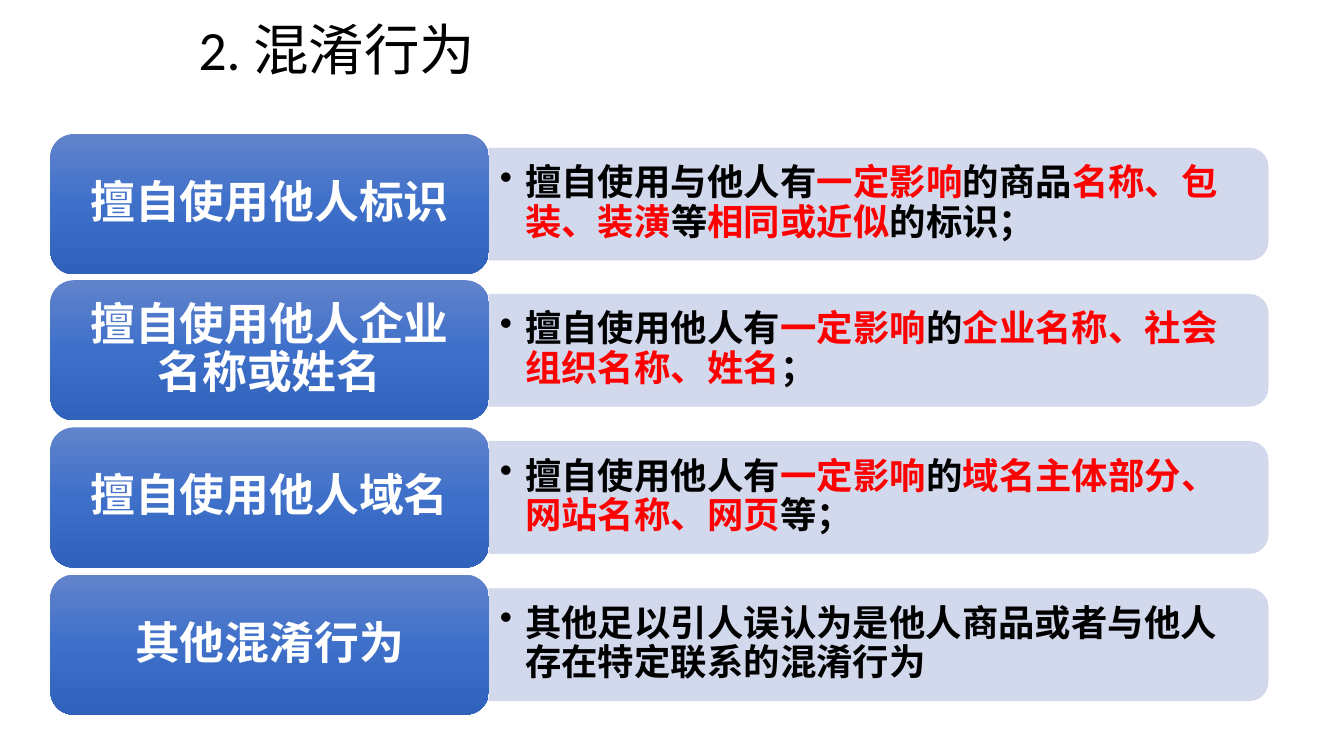
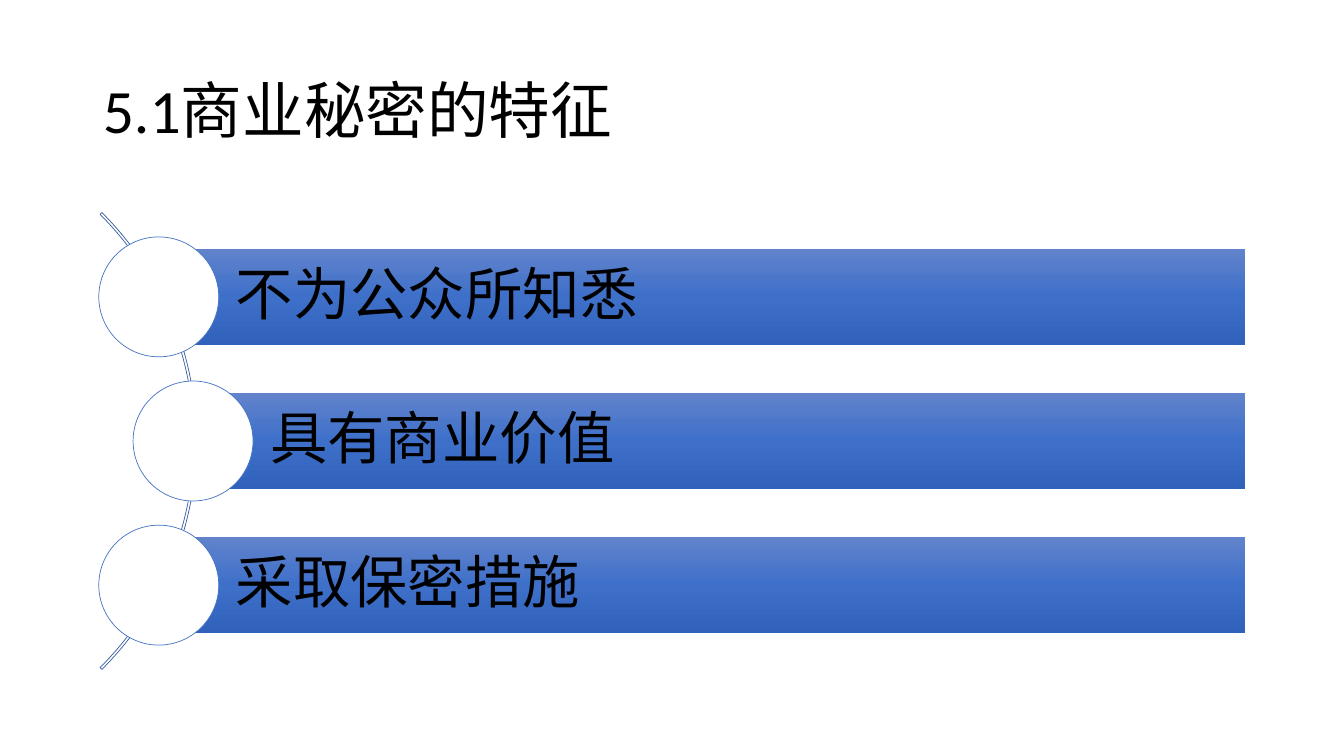
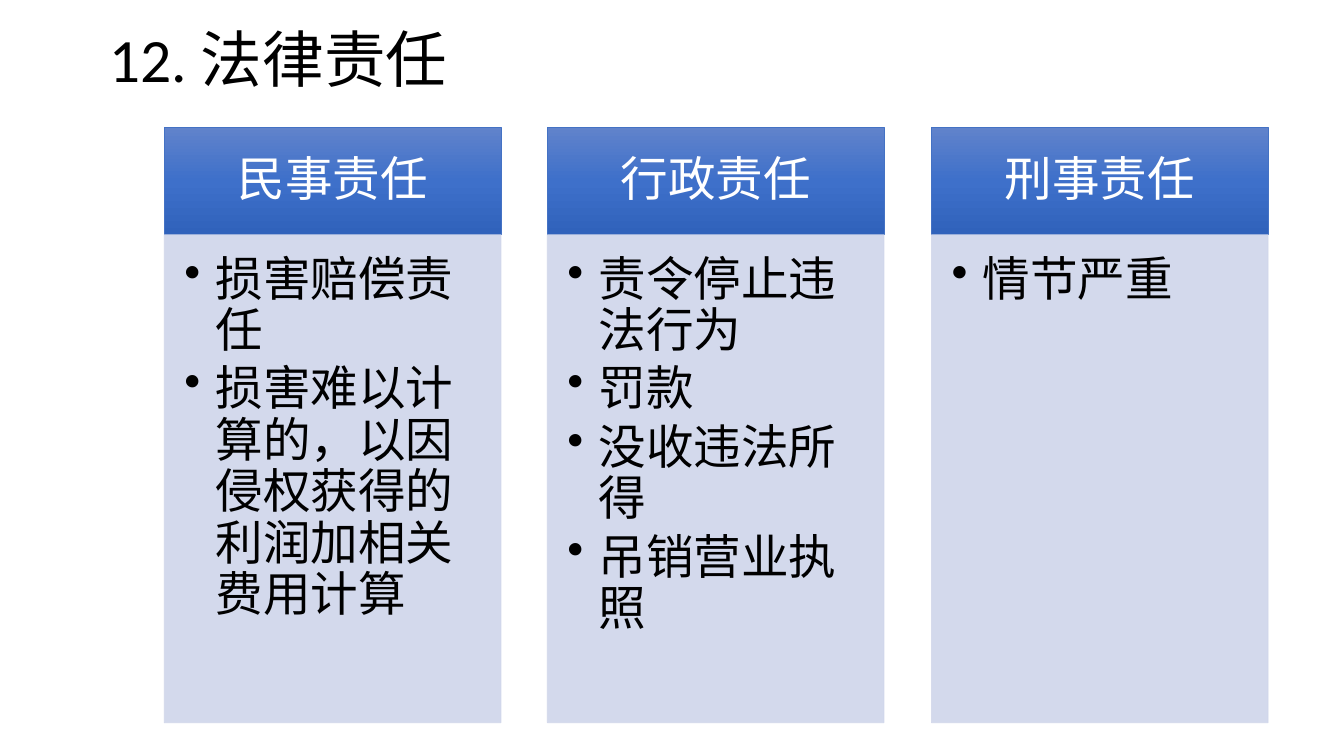
from copy import deepcopy

from pptx import Presentation
from pptx import util as u
from pptx.dml.color import RGBColor
from pptx.enum import lang, shapes, text
from pptx.oxml import ns, xmlchemy

PX = 9144
FONT = "Calibri"
COLORS = {
    "ink": "000000",
    "white": "FFFFFF",
    "accent": "FF0000",
    "blue": "4472C4",
    "arc": "365B9D",
    "pale": "CFD5EA",
}
GRADIENT = [(0, "6183CB"), (0.5, "3E70CA"), (1, "3062BB")]
KINDS = shapes.MSO_SHAPE
MIDDLE, TOP = text.MSO_ANCHOR.MIDDLE, text.MSO_ANCHOR.TOP
LEFT, CENTER = text.PP_ALIGN.LEFT, text.PP_ALIGN.CENTER


def write(shape, *paragraphs, size, color="ink", bold=False, align=LEFT,
          anchor=MIDDLE, insets=(10, 5, 10, 5), hang=0, after=0):
    frame = shape.text_frame
    frame.word_wrap = True
    frame.auto_size = text.MSO_AUTO_SIZE.NONE
    frame.vertical_anchor = anchor
    (frame.margin_left, frame.margin_top,
     frame.margin_right, frame.margin_bottom) = [n * PX for n in insets]
    for index, content in enumerate(paragraphs):
        paragraph = frame.add_paragraph() if index else frame.paragraphs[0]
        paragraph.alignment = align
        paragraph.line_spacing = 0.9
        paragraph.space_before = u.Pt(0)
        paragraph.space_after = u.Pt(after if index < len(paragraphs) - 1 else 0)
        if hang:
            properties = paragraph._p.get_or_add_pPr()
            properties.set("marL", str(hang * PX))
            properties.set("indent", str(-hang * PX))
            bullet = xmlchemy.OxmlElement("a:buChar")
            bullet.set("char", "•")
            properties.append(bullet)
        for part, words in enumerate(content.split("|")):
            run = paragraph.add_run()
            run.text = words
            run.font.name = FONT
            run.font.size = u.Pt(size)
            run.font.bold = bold
            run.font.language_id = lang.MSO_LANGUAGE_ID.SIMPLIFIED_CHINESE
            run.font.color.rgb = RGBColor.from_string(COLORS["accent" if part % 2 else color])


def block(slide, kind, box, fill=None, line=None, alpha=None):
    shape = slide.shapes.add_shape(kind, *[n * PX for n in box])
    shape.shadow.inherit = False
    properties = shape._element.spPr
    if fill == "gradient":
        shape.fill.gradient()
        shape.fill.gradient_angle = 270
        stops = properties.find(".//" + ns.qn("a:gsLst"))
        stops.append(deepcopy(stops[0]))
        for stop, (position, color) in zip(shape.fill.gradient_stops, GRADIENT):
            stop.position = position
            stop.color.rgb = RGBColor.from_string(color)
    elif fill:
        shape.fill.solid()
        shape.fill.fore_color.rgb = RGBColor.from_string(COLORS[fill])
    else:
        shape.fill.background()
    if line:
        shape.line.color.rgb = RGBColor.from_string(COLORS[line])
        shape.line.width = u.Pt(0.5)
    else:
        shape.line.fill.background()
    if alpha:
        for color in properties.iter(ns.qn("a:srgbClr")):
            opacity = xmlchemy.OxmlElement("a:alpha")
            opacity.set("val", str(alpha * 1000))
            color.append(opacity)
    return shape


deck = Presentation()
deck.slide_width, deck.slide_height = u.Inches(13.333), u.Inches(7.5)

HEADINGS = [
    ("2. 混淆行为", (187, 16, 917, 73), 39.6),
    ("5.1商业秘密的特征", (92, 40, 1150, 145), 44),
    ("12. 法律责任", (98, 0, 579, 124), 44),
]
pages = []
for heading, box, size in HEADINGS:
    page = deck.slides.add_slide(deck.slide_layouts[5])
    title = page.shapes.title
    title.left, title.top, title.width, title.height = [n * PX for n in box]
    write(title, heading, size=size)
    pages.append(page)
confusion, secrets, liability = pages

ACTS = [
    ("擅自使用他人标识",
     "擅自使用与他人有|一定影响|的商品|名称、包装、装潢|等|相同或近似|的标识；"),
    ("擅自使用他人企业名称或姓名",
     "擅自使用他人有|一定影响|的|企业名称、社会组织名称、姓名|；"),
    ("擅自使用他人域名",
     "擅自使用他人有|一定影响|的|域名主体部分、网站名称、网页|等；"),
    ("其他混淆行为",
     "其他足以引人误认为是他人商品或者与他人存在特定联系的混淆行为"),
]
for row, (act, detail) in enumerate(ACTS):
    top = 133 + row * 437 // 3
    panel = block(confusion, KINDS.ROUND_2_SAME_RECTANGLE, (816, top - 317, 111, 773),
                  fill="pale", line="pale", alpha=90)
    panel.rotation = 90
    explanation = confusion.shapes.add_textbox(485 * PX, (top + 19) * PX, 768 * PX, 100 * PX)
    write(explanation, detail, size=26, bold=True, insets=(11, 5, 11, 5), hang=25)
    label = block(confusion, KINDS.ROUNDED_RECTANGLE, (50, top, 435, 139), fill="gradient")
    write(label, act, size=32, color="white", bold=True, align=CENTER, insets=(20, 14, 20, 14))

arc = block(secrets, KINDS.BLOCK_ARC, (-446, 117, 641, 641), line="arc")
arc.adjustments[0], arc.adjustments[1], arc.adjustments[2] = 189, 27, 0.004
FEATURES = [("不为公众所知悉", 158), ("具有商业价值", 192), ("采取保密措施", 158)]
for row, (feature, left) in enumerate(FEATURES):
    top = 247 + row * 143
    bar = block(secrets, KINDS.RECTANGLE, (left, top, 1235 - left, 95), fill="gradient")
    write(bar, feature, size=41, insets=(76, 11, 11, 11))
    block(secrets, KINDS.OVAL, (left - 60, top - 12, 119, 119), fill="white", line="blue")

LIABILITIES = [
    ("民事责任", ["损害赔偿责任", "损害难以计算的，以因侵权获得的利润加相关费用计算"]),
    ("行政责任", ["责令停止违法行为", "罚款", "没收违法所得", "吊销营业执照"]),
    ("刑事责任", ["情节严重"]),
]
for column, (liability_type, measures) in enumerate(LIABILITIES):
    left = 163 + column * 761 // 2
    header = block(liability, KINDS.RECTANGLE, (left, 126, 334, 107),
                   fill="gradient", line="blue")
    write(header, liability_type, size=34, color="white", align=CENTER, insets=(26, 15, 26, 15))
    body = block(liability, KINDS.RECTANGLE, (left, 233, 334, 484),
                 fill="pale", line="pale", alpha=90)
    write(body, *measures, size=34, anchor=TOP, insets=(20, 20, 26, 30), hang=31, after=5)

deck.save("out.pptx")
